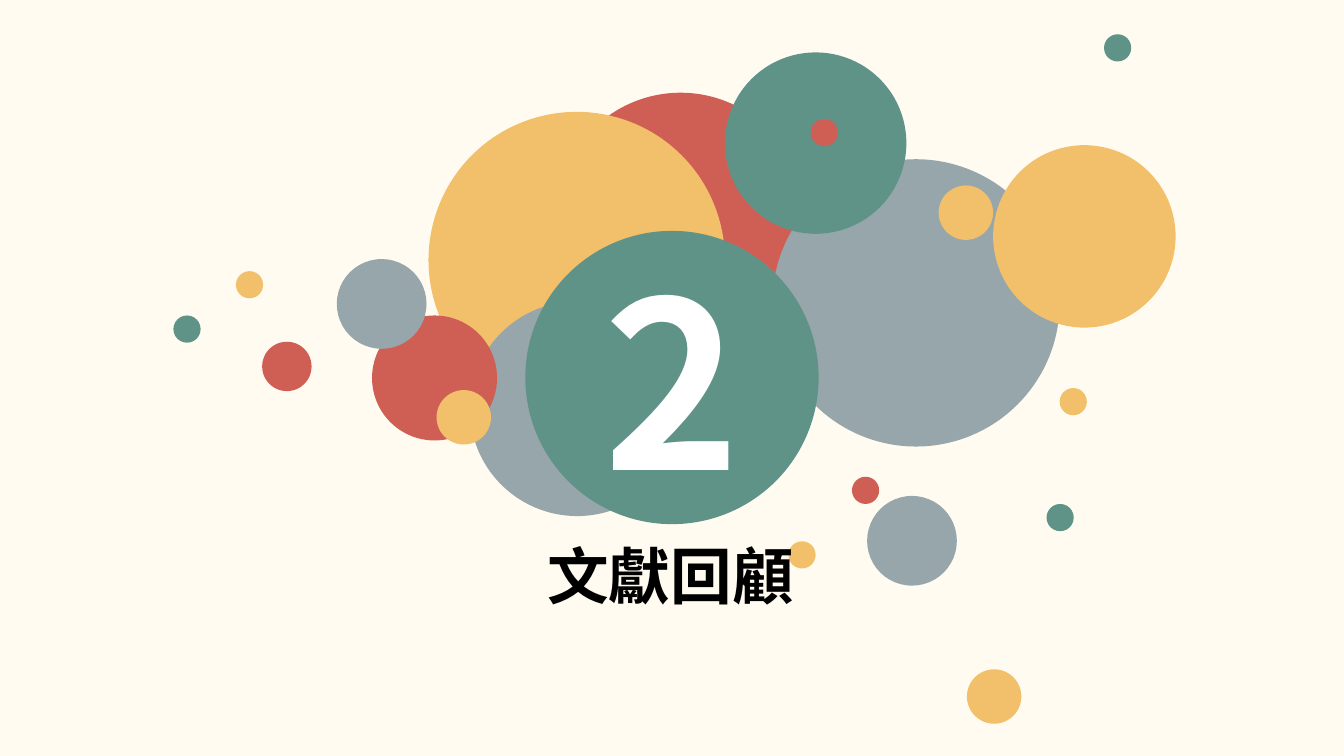
from dataclasses import dataclass

from lxml.etree import SubElement
from pptx import Presentation
from pptx.dml.color import RGBColor
from pptx.enum.shapes import MSO_SHAPE as Shape
from pptx.enum.text import MSO_ANCHOR as Anchor, MSO_AUTO_SIZE as AutoSize, PP_ALIGN as Align
from pptx.oxml.ns import qn
from pptx.util import Inches, Pt


@dataclass(frozen=True)
class Theme:
    cream: str = "FFFBF0"
    red: str = "CF5F55"
    yellow: str = "F2C06B"
    grey: str = "97A6AB"
    green: str = "5F9387"
    white: str = "FFFFFF"
    black: str = "000000"
    font: str = "Noto Sans CJK SC"
    number_size: int = 166
    title_size: int = 44


THEME = Theme()
CELL = Inches(0.1)  # the slide is a grid of square cells, 75 rows high
DOT, BEAD, BALL = 2.7, 5.4, 8.9  # diameters that recur, in cells

# Column, row and diameter inside the cluster, then colour; back to front
BUBBLES = [
    (38.0, 5.8, 24.6, THEME.red),
    (25.3, 7.7, 29.4, THEME.yellow),
    (29.4, 26.5, 21.3, THEME.grey),
    (59.4, 12.4, 28.5, THEME.grey),
    (54.7, 1.8, 18, THEME.green),
    (19.7, 27.9, 12.4, THEME.red),
    (68.8, 45.8, BALL, THEME.grey),
    (67.3, 43.9, DOT, THEME.red),
    (61.0, 50.3, DOT, THEME.yellow),
    (86.6, 46.6, DOT, THEME.green),
    (78.7, 63.0, BEAD, THEME.yellow),
    (81.3, 11.0, 18.1, THEME.yellow),
    (16.2, 22.3, BALL, THEME.grey),
    (8.8, 30.5, 4.9, THEME.red),
    (6.2, 23.5, DOT, THEME.yellow),
    (0, 27.9, DOT, THEME.green),
    (26.1, 35.3, BEAD, THEME.yellow),
    (63.2, 8.4, DOT, THEME.red),
    (87.9, 35.1, DOT, THEME.yellow),
    (92.3, 0, DOT, THEME.green),
    (75.9, 15.0, BEAD, THEME.yellow),
]


def cells(*counts):
    return [round(count * CELL) for count in counts]


def add_circle(slide, column, row, diameter, colour):
    circle = slide.shapes.add_shape(Shape.OVAL, *cells(column, row, diameter, diameter))
    circle.shadow.inherit = False
    circle.fill.solid()
    circle.fill.fore_color.rgb = RGBColor.from_string(colour)
    circle.line.fill.background()
    return circle


def write(frame, wording, size, colour, align, frame_format):
    for attribute, value in frame_format.items():
        setattr(frame, attribute, value)
    paragraph = frame.paragraphs[0]
    paragraph.alignment = align
    run = paragraph.add_run()
    run.text = wording
    for attribute, value in {"size": Pt(size), "bold": True, "name": THEME.font}.items():
        setattr(run.font, attribute, value)
    run.font.color.rgb = RGBColor.from_string(colour)
    # East Asian characters take their typeface from a separate element
    SubElement(run.font._element, qn("a:ea"), typeface=THEME.font)


def add_bubble_cluster(slide, left, top):
    for column, row, diameter, colour in BUBBLES:
        add_circle(slide, left + column, top + row, diameter, colour)


def add_number_badge(slide, left, top, diameter, number):
    badge = add_circle(slide, left, top, diameter, THEME.green)
    write(badge.text_frame, number, THEME.number_size, THEME.white, Align.CENTER,
          {"vertical_anchor": Anchor.MIDDLE})


def add_section_title(slide, left, top, width, height, title):
    title_box = slide.shapes.add_textbox(*cells(left, top, width, height))
    write(title_box.text_frame, title, THEME.title_size, THEME.black, Align.LEFT,
          {"word_wrap": False, "auto_size": AutoSize.SHAPE_TO_FIT_TEXT})


def add_section_slide(deck, number, title):
    slide = deck.slides.add_slide(deck.slide_layouts[6])
    slide.background.fill.solid()
    slide.background.fill.fore_color.rgb = RGBColor.from_string(THEME.cream)
    add_bubble_cluster(slide, 17.2, 3.4)
    add_number_badge(slide, 52.1, 22.9, 29.1, number)
    add_section_title(slide, 53.3, 52.9, 27.4, 8.4, title)


def main():
    deck = Presentation()
    deck.slide_width, deck.slide_height = Inches(13.33), Inches(7.5)
    add_section_slide(deck, "2", "文獻回顧")
    deck.save("out.pptx")


if __name__ == "__main__":
    main()
